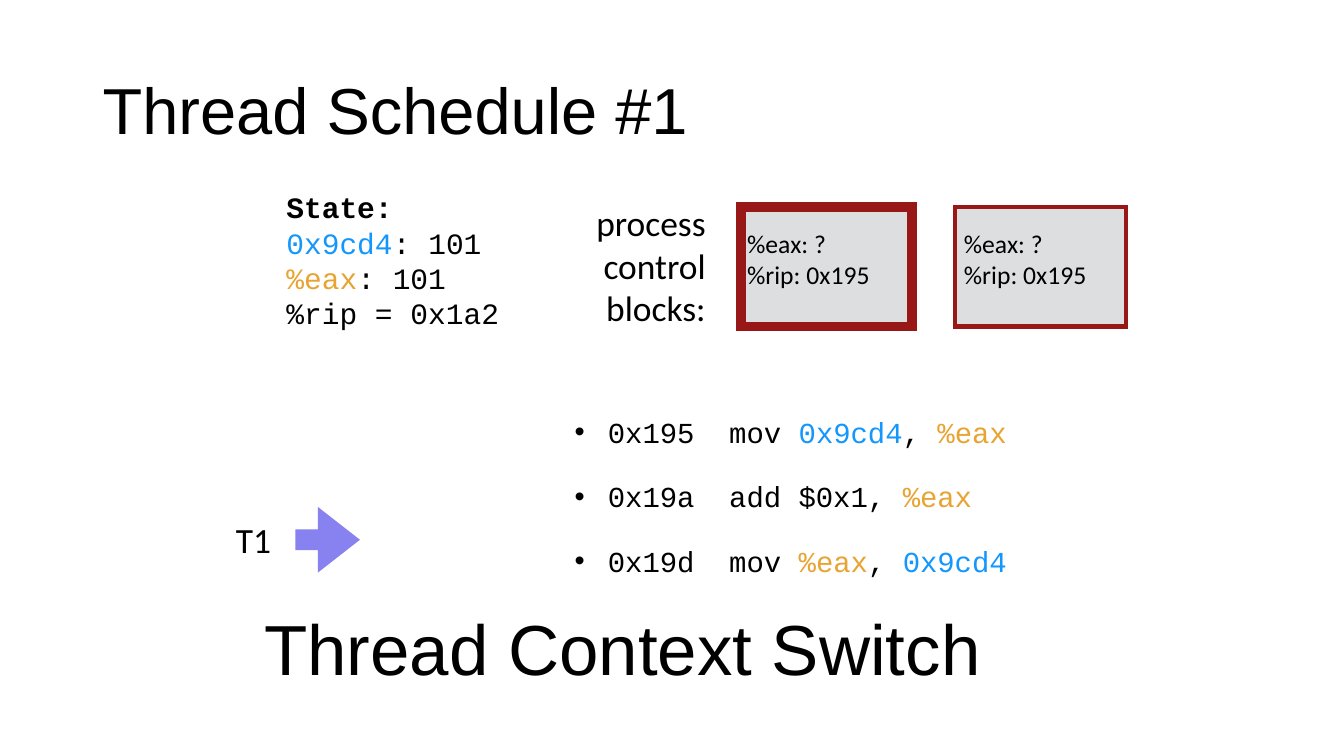
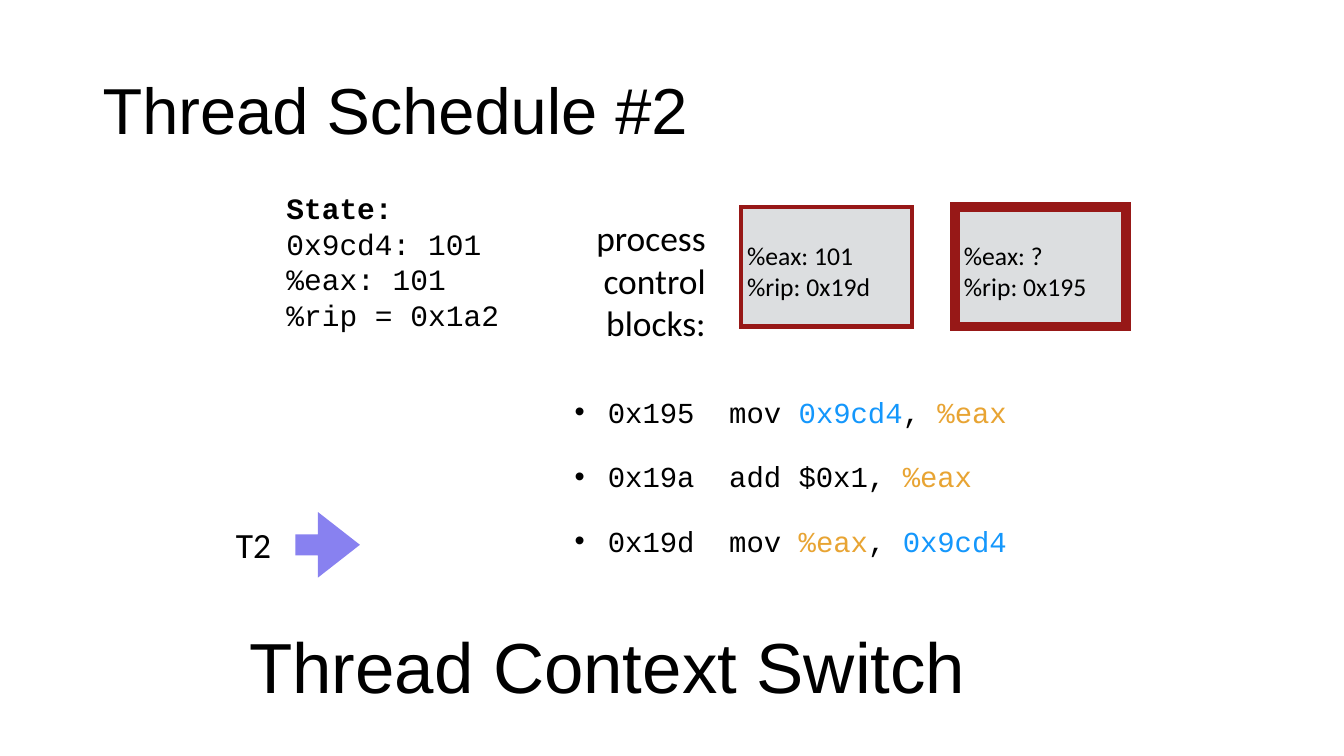
import pptx
import pptx.dml.color
import pptx.enum.shapes
import pptx.enum.text
import pptx.util
from lxml import etree
from pptx.oxml.ns import qn

Inches = pptx.util.Inches
Pt = pptx.util.Pt
SHAPES = pptx.enum.shapes.MSO_SHAPE
ANCHOR = pptx.enum.text.MSO_ANCHOR
ALIGN = pptx.enum.text.PP_ALIGN
AUTO = pptx.enum.text.MSO_AUTO_SIZE

# Shared look
BLACK, BOX_FILL, BOX_LINE, ARROW = "000000", "DCDEE0", "971817", "8881F0"
TOKEN_COLOURS = {"0x9cd4": "1497FC", "%eax": "E8A433"}
THIN, THICK = 3, 7
SNUG = (0.04, 0.04, 0.04, 0.04)
TITLE = {"name": "Arial", "size": Pt(46.4)}
BANNER = {"name": "Arial", "size": Pt(50.6)}
LABEL = {"name": "Calibri", "size": Pt(25.3)}
BLOCK = {"name": "Calibri", "size": Pt(18.3)}
STATE = {"name": "Courier New", "size": Pt(21.1)}
CODE = {"name": "Courier New", "size": Pt(20.7)}

# Shared content: a paragraph is a list of runs
CODE_LINES = [
    ["0x195  mov ", "0x9cd4", ", ", "%eax"],
    ["0x19a  add $0x1, ", "%eax"],
    ["0x19d  mov ", "%eax", ", ", "0x9cd4"],
]
BLOCK_LEFT, BLOCK_STEP = 7.35, 2.12

# What differs between the slides; "top" holds vertical positions
slides = [
    {
        "state": [["0x9cd4", ": 101"], ["%eax", ": 101"], ["%rip = 0x1a2"]],
        "blocks": [("%eax: ?", "%rip: 0x195"), ("%eax: ?", "%rip: 0x195")],
        "top": {"state": 1.83, "label": 1.95, "block": 2.26,
                "thread": 5.1, "code": 4.07, "banner": 5.96},
        "banner_left": 2.58,
    },
    {
        "state": [["0x9cd4: 101"], ["%eax: 101"], ["%rip = 0x1a2"]],
        "blocks": [("%eax: 101", "%rip: 0x19d"), ("%eax: ?", "%rip: 0x195")],
        "top": {"state": 1.84, "label": 2.1, "block": 2.38,
                "thread": 5.15, "code": 3.87, "banner": 6.13},
        "banner_left": 2.43,
    },
]


def paint(fmt, colour):
    fmt.solid()
    fmt.fore_color.rgb = pptx.dml.color.RGBColor.from_string(colour)


def add_text(s, box, lines, font, insets=SNUG, anchor=ANCHOR.MIDDLE, wrap=False):
    tf = s.shapes.add_textbox(*map(Inches, box)).text_frame
    left, top, right, bottom = map(Inches, insets)
    frame = {"margin_left": left, "margin_top": top, "margin_right": right,
             "margin_bottom": bottom, "vertical_anchor": anchor, "word_wrap": wrap,
             "auto_size": AUTO.NONE if wrap else AUTO.SHAPE_TO_FIT_TEXT}
    for key, value in frame.items():
        setattr(tf, key, value)
    for i, runs in enumerate(lines):
        p = tf.paragraphs[0] if i == 0 else tf.add_paragraph()
        for text in runs:
            r = p.add_run()
            r.text = text
            for key, value in font.items():
                setattr(r.font, key, value)
            paint(r.font.fill, TOKEN_COLOURS.get(text, BLACK))
    return tf


prs = pptx.Presentation()
prs.slide_width, prs.slide_height = Inches(13.33), Inches(7.5)

for number, spec in enumerate(slides, 1):
    s = prs.slides.add_slide(prs.slide_layouts[6])
    top = spec["top"]

    # Title
    tf = add_text(s, (0.92, 0.4, 11.5, 1.45), [[f"Thread Schedule #{number}"]],
                  TITLE, insets=(0.1, 0.05, 0.1, 0.05), wrap=True)
    tf.paragraphs[0].line_spacing = 0.9

    # Machine state, with a bold heading
    tf = add_text(s, (2.8, top["state"], 2.22, 1.5),
                  [["State:"]] + spec["state"], STATE)
    tf.paragraphs[0].runs[0].font.bold = True

    # Process control blocks; the running thread has the thick frame
    tf = add_text(s, (5.86, top["label"], 1.18, 1.36),
                  [["process"], ["control"], ["blocks:"]], LABEL)
    for p in tf.paragraphs:
        p.alignment = ALIGN.RIGHT
    for i, registers in enumerate(spec["blocks"]):
        left = BLOCK_LEFT + i * BLOCK_STEP
        sp = s.shapes.add_shape(SHAPES.RECTANGLE, Inches(left), Inches(2.05),
                                Inches(1.7), Inches(1.19))
        sp.shadow.inherit = False
        paint(sp.fill, BOX_FILL)
        paint(sp.line.fill, BOX_LINE)
        sp.line.width = Pt(THICK if i + 1 == number else THIN)
        # Square corners on the frame
        ln = sp._element.spPr.find(qn("a:ln"))
        etree.SubElement(ln, qn("a:miter"), lim="800000")
        # Wide enough to keep each register on one line
        add_text(s, (7.41 + i * 2.15, top["block"], 1.5, 0.62),
                 [[text] for text in registers], BLOCK,
                 insets=(0, 0, 0, 0), anchor=ANCHOR.TOP, wrap=True)

    # Thread pointer
    add_text(s, (2.3, top["thread"], 0.43, 0.5), [[f"T{number}"]], LABEL)
    sp = s.shapes.add_shape(SHAPES.RIGHT_ARROW, Inches(2.93),
                            Inches(top["thread"] - 0.07), Inches(0.64), Inches(0.65))
    sp.adjustments[0], sp.adjustments[1] = 0.32, 0.65
    sp.shadow.inherit = False
    paint(sp.fill, ARROW)
    sp.line.fill.background()

    # Banner
    add_text(s, (spec["banner_left"], top["banner"], 7.26, 0.93),
             [["Thread Context Switch"]], BANNER)

    # Bulleted code
    tf = add_text(s, (5.63, top["code"], 6.04, 1.51), CODE_LINES, CODE,
                  insets=(0.07, 0.04, 0.07, 0.04), anchor=ANCHOR.TOP, wrap=True)
    for i, p in enumerate(tf.paragraphs):
        if i:
            p.space_before = Pt(21.3)
        pPr = p._p.get_or_add_pPr()
        pPr.set("marL", str(Inches(0.33)))
        pPr.set("indent", str(-Inches(0.33)))
        etree.SubElement(pPr, qn("a:buFont"), typeface="Arial")
        etree.SubElement(pPr, qn("a:buChar"), char="•")

prs.save("out.pptx")
